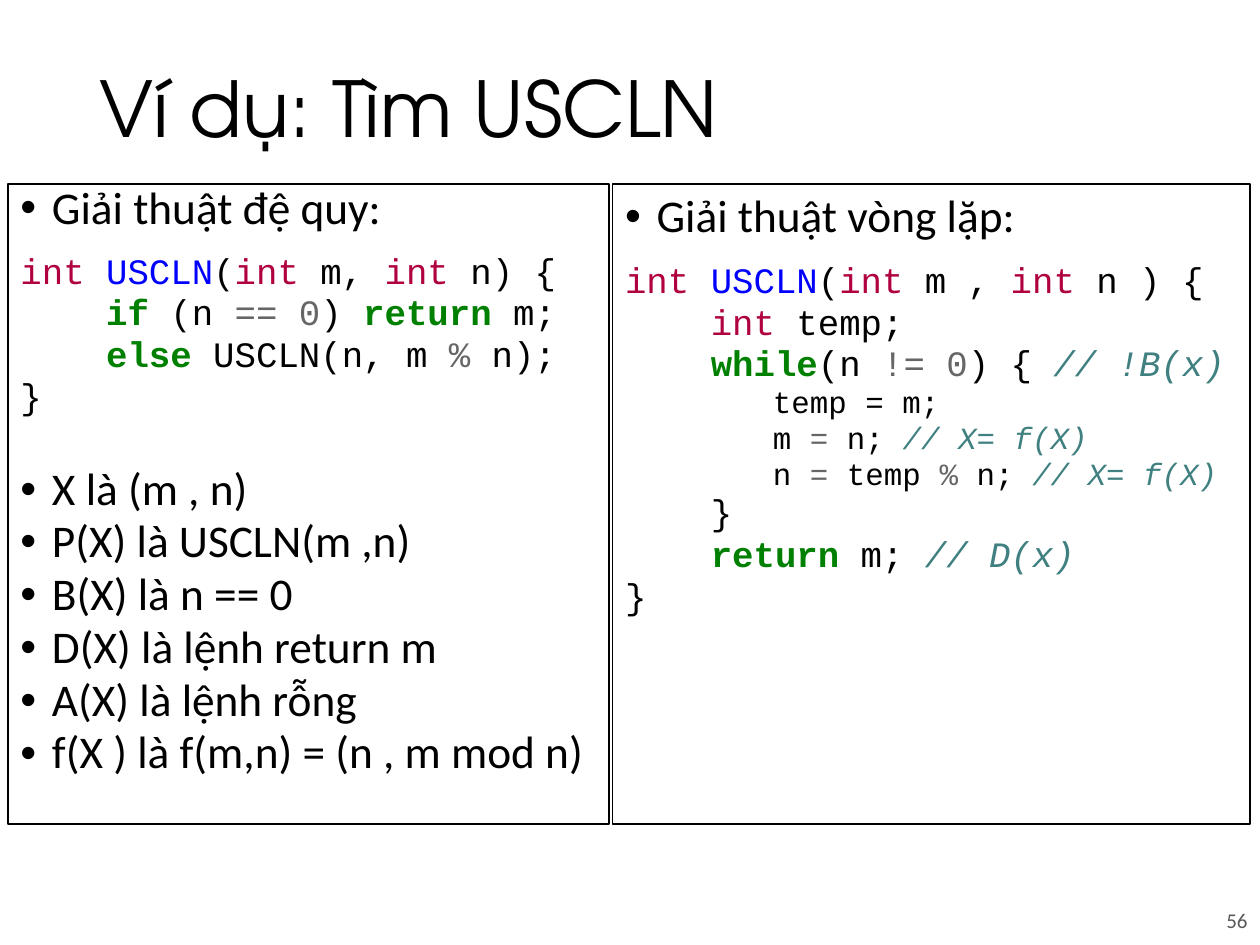
"""Build the slide that compares recursive and iterative USCLN."""
from dataclasses import dataclass
from typing import NamedTuple

from lxml.etree import SubElement as Sub
from pptx import Presentation
from pptx.dml.color import RGBColor as Rgb
from pptx.enum.text import MSO_ANCHOR as Anchor, MSO_AUTO_SIZE as Fit, PP_ALIGN as Align
from pptx.oxml.ns import qn
from pptx.util import Pt

BODY, MONO, HEAD = "Calibri", "Courier New", "TeX Gyre Adventor"
BLACK, WHITE, GREY = "000000", "FFFFFF", "595959"
BIG, CODE, SMALL = 25.9, 20.4, 17.6
STEP = 18


class Box(NamedTuple):
    left: float
    top: float
    width: float
    height: float


class Style(NamedTuple):
    color: str = BLACK
    bold: bool = False
    slant: bool = False


PLAIN = Style()
TYPE = Style("B00040")
NAME = Style("0000FF")
KEY = Style("008000", bold=True)
SIGN = Style("666666")
NOTE = Style("408080", slant=True)


class Bit(NamedTuple):
    text: str
    style: Style = PLAIN


@dataclass
class Line:
    bits: list[Bit]
    size: float = BIG
    font: str = BODY
    left: float = STEP
    hang: float = -STEP
    gap: float = 0
    space: float = 0.97


def item(text: str, gap: float = 0, space: float = 0.97) -> Line:
    """Make a bulleted line."""
    return Line([Bit(text)], gap=gap, space=space)


def code(depth: int, *bits: Bit, size: float = CODE, gap: float = 0) -> Line:
    """Make a code line, indented four characters for each level."""
    return Line(list(bits), size, MONO, depth * 4 * 0.6 * size, 0, gap)


def paint(color: str) -> Rgb:
    """Turn a hex string into a colour."""
    return Rgb.from_string(color)


def dress(run, font: str, size: float, style: Style = PLAIN) -> None:
    """Format one run."""
    face = run.font
    face.name, face.size = font, Pt(size)
    face.bold, face.italic = style.bold, style.slant
    face.color.rgb = paint(style.color)


def place(shape, box: Box) -> None:
    """Move and size a shape."""
    shape.left, shape.top, shape.width, shape.height = map(Pt, box)
    shape.text_frame.word_wrap = True
    shape.text_frame.auto_size = Fit.NONE


def write(para, line: Line) -> None:
    """Fill a paragraph with the runs of a line."""
    para.line_spacing = line.space
    para.space_before, para.space_after = Pt(line.gap), Pt(0)
    props = para._p.get_or_add_pPr()
    props.set("marL", str(Pt(line.left)))
    props.set("indent", str(Pt(line.hang)))
    if line.hang:
        Sub(Sub(props, qn("a:buClr")), qn("a:srgbClr"), val=BLACK)
        Sub(props, qn("a:buFont"), typeface="Arial")
        Sub(props, qn("a:buChar"), char="•")
    else:
        Sub(props, qn("a:buNone"))
    for bit in line.bits:
        run = para.add_run()
        run.text = bit.text
        dress(run, line.font, line.size, bit.style)


def panel(shape, box: Box, lines: list[Line]) -> None:
    """Frame a body placeholder and write its lines."""
    place(shape, box)
    shape.fill.solid()
    shape.fill.fore_color.rgb = paint(WHITE)
    shape.line.color.rgb = paint(BLACK)
    shape.line.width = Pt(1)
    frame = shape.text_frame
    frame.vertical_anchor = Anchor.TOP
    for spot, line in enumerate(lines):
        write(frame.add_paragraph() if spot else frame.paragraphs[0], line)


def label(shape, box: Box, text: str, font: str, size: float, color: str, align: Align) -> None:
    """Write a single formatted line in the middle of a box."""
    place(shape, box)
    frame = shape.text_frame
    frame.text = text
    frame.vertical_anchor = Anchor.MIDDLE
    para = frame.paragraphs[0]
    para.alignment = align
    dress(para.runs[0], font, size, Style(color))


def start(first: str, last: str) -> Line:
    """Make the line that opens the function."""
    return code(0, Bit("int ", TYPE), Bit("USCLN", NAME), Bit("("), Bit("int", TYPE),
                Bit(first), Bit("int", TYPE), Bit(last), gap=10)


RECUR = [
    item("Giải thuật đệ quy:", space=0.8),
    start(" m, ", " n) {"),
    code(1, Bit("if", KEY), Bit(" (n "), Bit("== 0", SIGN), Bit(") "),
         Bit("return", KEY), Bit(" m;")),
    code(1, Bit("else", KEY), Bit(" USCLN(n, m "), Bit("%", SIGN), Bit(" n);")),
    code(0, Bit("}")),
    item("X là (m , n)", gap=26),
    *map(item, ["P(X) là USCLN(m ,n)", "B(X) là n == 0", "D(X) là lệnh return m",
                "A(X) là lệnh rỗng", "f(X ) là f(m,n) = (n , m mod n)"]),
]
LOOP = [
    item("Giải thuật vòng lặp:"),
    start(" m , ", " n ) {"),
    code(1, Bit("int", TYPE), Bit(" temp;")),
    code(1, Bit("while", KEY), Bit("(n "), Bit("!= 0", SIGN), Bit(") { "),
         Bit("// !B(x)", NOTE)),
    code(2, Bit("temp = m;"), size=SMALL),
    code(2, Bit("m "), Bit("=", SIGN), Bit(" n; "), Bit("// X= f(X)", NOTE), size=SMALL),
    code(2, Bit("n "), Bit("=", SIGN), Bit(" temp "), Bit("%", SIGN), Bit(" n; "),
         Bit("// X= f(X)", NOTE), size=SMALL),
    code(1, Bit("}")),
    code(1, Bit("return", KEY), Bit(" m; "), Bit("// D(x)", NOTE)),
    code(0, Bit("}")),
]


def main() -> None:
    """Build and save the slide."""
    deck = Presentation()
    deck.slide_width, deck.slide_height = Pt(720), Pt(540)
    slide = deck.slides.add_slide(deck.slide_layouts[3])
    title, left, right = slide.placeholders
    label(title, Box(49.5, 12.2, 621, 104.4), "Ví dụ: Tìm USCLN", HEAD, 44, BLACK, Align.LEFT)
    title.text_frame.paragraphs[0].line_spacing = 0.9
    panel(left, Box(4.5, 105, 343.5, 366), RECUR)
    panel(right, Box(350, 105, 364.3, 366), LOOP)
    box = Box(632, 511, 88, 29)
    page = slide.shapes.add_textbox(*map(Pt, box))
    label(page, box, "56", BODY, 12, GREY, Align.RIGHT)
    deck.save("out.pptx")


if __name__ == "__main__":
    main()
